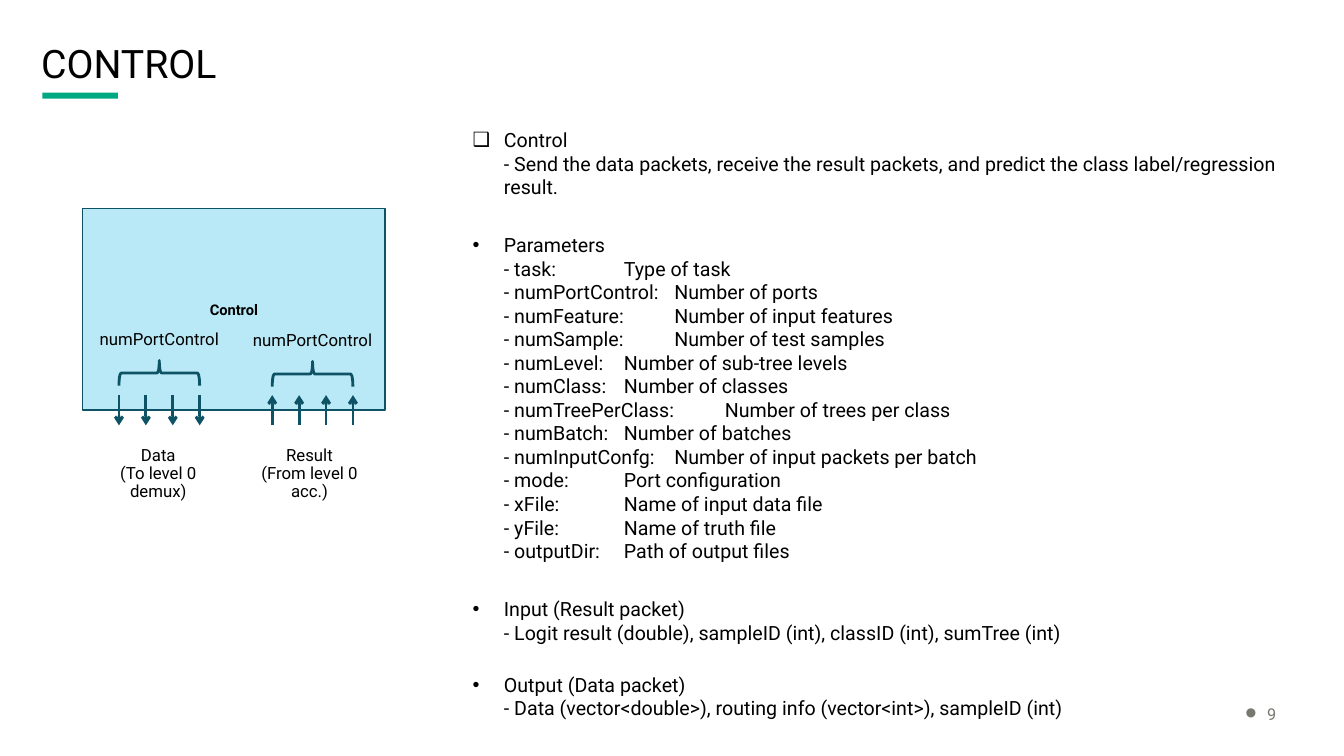
import copy
from dataclasses import dataclass

import lxml.etree
import pptx
import pptx.dml.color
import pptx.enum.shapes
import pptx.enum.text
import pptx.oxml.ns
import pptx.util

COLUMNS, ROWS = 133.3, 75
CELL = pptx.util.Inches(0.1)
FONT = "Roboto"
BLACK, GREY, GREEN, SKY, TEAL = "000000", "787871", "01A982", "B9E9F6", "0D5265"
SHAPE = pptx.enum.shapes.MSO_SHAPE
ALIGN = pptx.enum.text.PP_ALIGN
ANCHOR = pptx.enum.text.MSO_ANCHOR
ARROW_COUNT, ARROW_GAP = 4, 2.67
ARROW_TOP, ARROW_BOTTOM = 39.2, 42.2
BRACE_WIDTH, BRACE_HEIGHT = 2.5, 8
LABEL_WIDTH = 15


@dataclass
class Area:
    left: float
    top: float
    width: float
    height: float

    def lengths(self) -> list[int]:
        return [cells(n) for n in (self.left, self.top, self.width, self.height)]


@dataclass
class Port:
    first_arrow: float
    caption_left: float
    drop: float
    arrow_end: str
    caption: str


@dataclass
class Topic:
    bullet: str
    gap: float
    text: str


PORTS = [
    Port(11.8, 8.2, 0, "tailEnd", "Data\n(To level 0 demux)"),
    Port(27, 23.2, 0.1, "headEnd", "Result\n(From level 0 acc.)"),
]

PARAMETERS = [
    "task: \t\tType of task",
    "numPortControl: \tNumber of ports",
    "numFeature: \tNumber of input features",
    "numSample: \tNumber of test samples",
    "numLevel: \tNumber of sub-tree levels",
    "numClass: \tNumber of classes",
    "numTreePerClass: \tNumber of trees per class",
    "numBatch: \tNumber of batches",
    "numInputConfg:\tNumber of input packets per batch",
    "mode:\t\tPort configuration",
    "xFile: \t\tName of input data file",
    "yFile: \t\tName of truth file",
    "outputDir: \tPath of output files",
]

TOPICS = [
    Topic("❑", 4, "Control\n- Send the data packets, receive the result packets, "
          "and predict the class label/regression result."),
    Topic("•", 24.6, "\n- ".join(["Parameters", *PARAMETERS])),
    Topic("•", 24.6, "Input (Result packet)\n"
          "- Logit result (double), sampleID (int), classID (int), sumTree (int)"),
    Topic("•", 20.5, "Output (Data packet)\n"
          "- Data (vector<double>), routing info (vector<int>), sampleID (int)"),
]


def cells(count: float) -> int:
    return round(count * CELL)


def colour(value: str) -> pptx.dml.color.RGBColor:
    return pptx.dml.color.RGBColor.from_string(value)


def add_node(parent, tag: str, **attributes: str):
    return lxml.etree.SubElement(parent, pptx.oxml.ns.qn(tag), attributes)


def write(frame, text: str, *, size: float, fill: str = BLACK, bold: bool = False,
          align=ALIGN.LEFT, spacing: float = 1, before: float = 0, bullet: str = "",
          bullet_size: int = 100, indent: float = 0, baseline: int = 0) -> None:
    para = frame.paragraphs[0] if not frame.text else frame.add_paragraph()
    para.text = text
    para.alignment = align
    para.line_spacing = spacing
    para.space_before = pptx.util.Pt(before)
    if bullet:
        properties = para._p.get_or_add_pPr()
        properties.set("marL", str(cells(indent)))
        properties.set("indent", str(-cells(indent)))
        add_node(properties, "a:buSzPct", val=str(bullet_size * 1000))
        add_node(properties, "a:buFont", typeface="Arial")
        add_node(properties, "a:buChar", char=bullet)
    for span in para.runs:
        span.font.name = FONT
        span.font.size = pptx.util.Pt(size)
        span.font.bold = bold
        span.font.color.rgb = colour(fill)
        if baseline:
            span.font._element.set("baseline", str(baseline * 1000))
    for line_break in para._p.findall(pptx.oxml.ns.qn("a:br")):
        line_break.insert(0, copy.deepcopy(para.runs[0].font._element))


def add_box(page, area: Area, anchor=ANCHOR.TOP):
    frame = page.shapes.add_textbox(*area.lengths()).text_frame
    frame.word_wrap = True
    frame.vertical_anchor = anchor
    frame.margin_left = frame.margin_right = cells(1)
    frame.margin_top = frame.margin_bottom = cells(1)
    return frame


def add_figure(page, kind, area: Area, fill: str = "", line: str = "", weight: float = 1):
    figure = page.shapes.add_shape(kind, *area.lengths())
    figure.shadow.inherit = False
    if fill:
        figure.fill.solid()
        figure.fill.fore_color.rgb = colour(fill)
    else:
        figure.fill.background()
    if line:
        figure.line.color.rgb = colour(line)
        figure.line.width = pptx.util.Pt(weight)
    else:
        figure.line.fill.background()
    return figure


def add_arrow(page, column: float, arrow_end: str) -> None:
    arrow = page.shapes.add_connector(
        pptx.enum.shapes.MSO_CONNECTOR.STRAIGHT,
        cells(column), cells(ARROW_TOP), cells(column), cells(ARROW_BOTTOM))
    arrow.line.color.rgb = colour(TEAL)
    arrow.line.width = pptx.util.Pt(2)
    add_node(arrow.line._get_or_add_ln(), f"a:{arrow_end}", type="arrow")
    add_node(arrow._element.spPr, "a:effectLst")


def add_port(page, port: Port) -> None:
    for index in range(ARROW_COUNT):
        add_arrow(page, port.first_arrow + index * ARROW_GAP, port.arrow_end)
    middle = port.first_arrow + (ARROW_COUNT - 1) * ARROW_GAP / 2
    brace = add_figure(page, SHAPE.RIGHT_BRACE,
                       Area(middle - BRACE_WIDTH / 2, 33 + port.drop, BRACE_WIDTH, BRACE_HEIGHT),
                       line=TEAL, weight=2)
    brace.rotation = 270
    labels = [
        ("numPortControl", Area(middle - LABEL_WIDTH / 2, 31.9 + port.drop, LABEL_WIDTH, 3.8)),
        (port.caption, Area(port.caption_left, 43.3, LABEL_WIDTH, 5.7)),
    ]
    for text, area in labels:
        write(add_box(page, area), text, size=12, align=ALIGN.CENTER, spacing=0.9, before=4)


def main() -> None:
    deck = pptx.Presentation()
    deck.slide_width, deck.slide_height = cells(COLUMNS), cells(ROWS)
    page = deck.slides.add_slide(deck.slide_layouts[6])

    add_figure(page, SHAPE.RECTANGLE, Area(4.2, 9.2, 7.5, 0.6), fill=GREEN)
    write(add_box(page, Area(3.1, 4.3, 125, 4.4), ANCHOR.MIDDLE), "CONTROL", size=28, spacing=0.9)
    write(add_box(page, Area(122.5, 68.9, 7.5, 4), ANCHOR.MIDDLE), "9", size=20, fill=GREY,
          spacing=0.9, bullet="•", bullet_size=120, indent=2.2, baseline=10)

    control = add_figure(page, SHAPE.RECTANGLE, Area(8.2, 20.7, 30, 20), fill=SKY, line=TEAL)
    control.text_frame.word_wrap = False
    control.text_frame.vertical_anchor = ANCHOR.MIDDLE
    write(control.text_frame, "Control", size=10.5, bold=True, align=ALIGN.CENTER)
    for port in PORTS:
        add_port(page, port)

    details = add_box(page, Area(45.9, 11.7, 86.7, 59))
    for topic in TOPICS:
        write(details, topic.text, size=14, before=topic.gap, bullet=topic.bullet, indent=3.1)

    deck.save("out.pptx")


if __name__ == "__main__":
    main()
